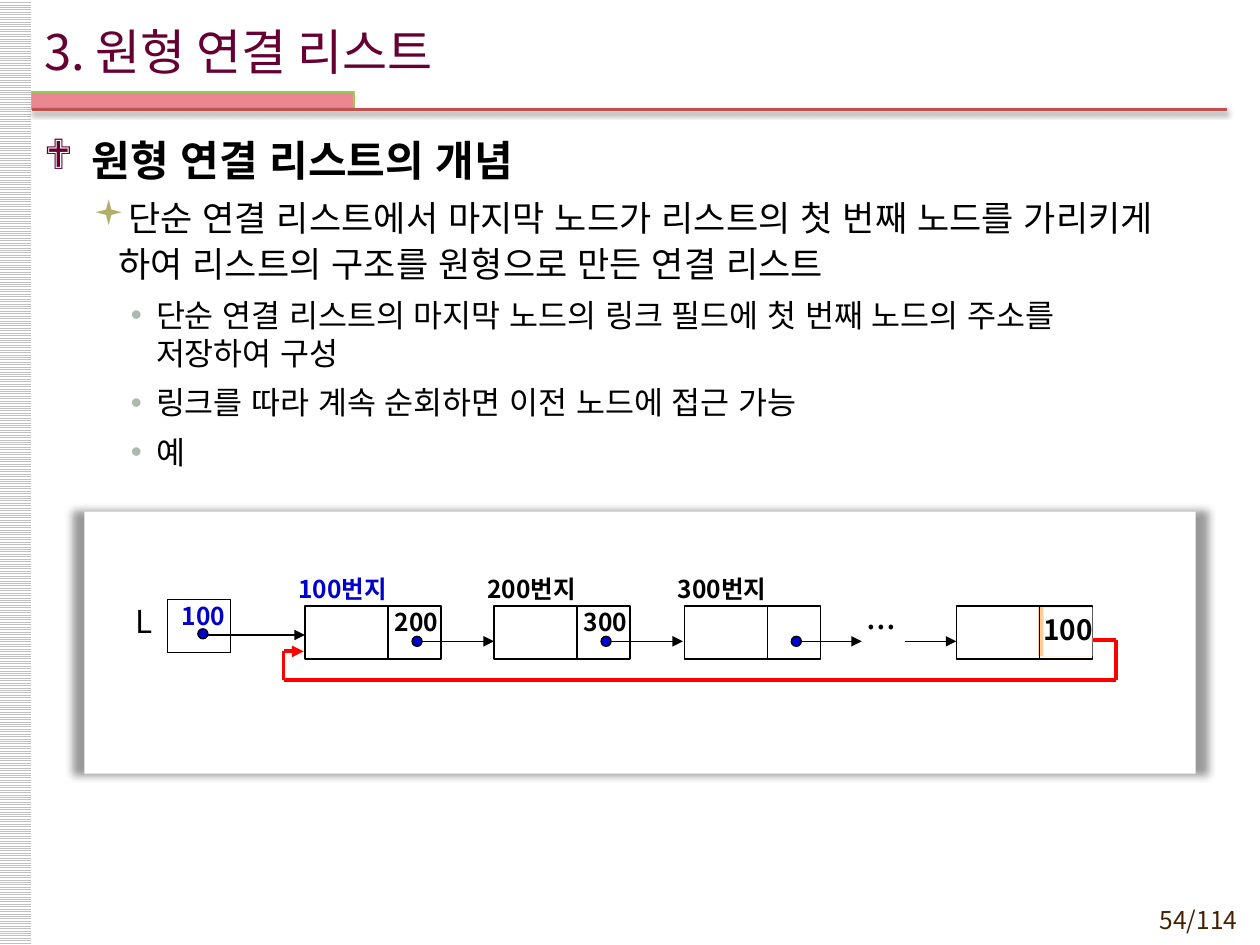
from dataclasses import dataclass
from itertools import pairwise
from typing import Optional

from lxml.etree import SubElement
from pptx import Presentation
from pptx.dml.color import RGBColor
from pptx.enum.dml import MSO_PATTERN
from pptx.enum.shapes import MSO_CONNECTOR, MSO_SHAPE
from pptx.enum.text import MSO_ANCHOR, PP_ALIGN
from pptx.oxml.ns import qn
from pptx.util import Inches, Pt

BLACK = RGBColor(0x00, 0x00, 0x00)
WHITE = RGBColor(0xFF, 0xFF, 0xFF)
BLUE = RGBColor(0x00, 0x00, 0xCC)
RED = RGBColor(0xFF, 0x00, 0x00)
PLUM = RGBColor(0x66, 0x00, 0x33)
BROWN = RGBColor(0x45, 0x21, 0x03)
SILVER = RGBColor(0xC0, 0xC0, 0xC0)
PINK = RGBColor(0xEA, 0x88, 0x92)
GREEN = RGBColor(0x92, 0xD0, 0x50)
BRICK = RGBColor(0xC0, 0x50, 0x4D)
PEACH = RGBColor(0xFF, 0xCC, 0x99)
OLIVE = RGBColor(0xB1, 0xAE, 0x6B)
SAGE = RGBColor(0xAD, 0xB9, 0xAD)

KOREAN = "Noto Sans CJK KR"
NODE_TOP, NODE_WIDTH, NODE_HEIGHT = 4.81, 1.08, 0.42
DIVIDER = 0.66
LINK_Y = 5.09
DOT = 0.08


@dataclass(frozen=True)
class Level:
    bullet: str
    bullet_face: str
    color: RGBColor
    margin: float
    indent: float
    size: int
    bold: bool = False
    line_spacing: float = 1.0
    before: float = 0
    after: float = 0


@dataclass(frozen=True)
class Node:
    left: float
    address: str = ""
    link: str = ""
    color: RGBColor = BLACK
    arrow_end: Optional[float] = None


LEVELS = [
    Level("❖", "Wingdings", PLUM, 0.38, -0.38, 24, bold=True),
    Level("▪", "Wingdings", OLIVE, 0.59, -0.2, 20, line_spacing=1.1, before=4, after=3),
    Level("•", "Arial", SAGE, 0.89, -0.2, 18, before=3.6, after=3),
]
OUTLINE = [
    (0, "원형 연결 리스트의 개념"),
    (1, "단순 연결 리스트에서 마지막 노드가 리스트의 첫 번째 노드를 가리키게 "
        "하여 리스트의 구조를 원형으로 만든 연결 리스트"),
    (2, "단순 연결 리스트의 마지막 노드의 링크 필드에 첫 번째 노드의 주소를\v저장하여 구성"),
    (2, "링크를 따라 계속 순회하면 이전 노드에 접근 가능"),
    (2, "예"),
]
NODES = [
    Node(2.42, "100번지", "200", BLUE, 3.92),
    Node(3.92, "200번지", "300", BLACK, 5.42),
    Node(5.43, "300번지", arrow_end=6.84),
    Node(7.59),
]
RETURN_PATH = [(8.45, 5.08), (8.86, 5.08), (8.86, 5.4),
               (2.25, 5.4), (2.25, 5.17), (2.41, 5.17)]


def style(paragraph, size: int, color: RGBColor, bold=False, face=KOREAN) -> None:
    font = paragraph.font
    font.size, font.bold, font.name = Pt(size), bold, face
    font.color.rgb = color
    SubElement(font._element, qn("a:ea")).set("typeface", face)


def add_effects(shape, blur=0.0, distance=0.0, angle=0, alpha=0, scale=100) -> None:
    effects = SubElement(shape._element.spPr, qn("a:effectLst"))
    if blur:
        shadow = SubElement(effects, qn("a:outerShdw"), blurRad=str(Pt(blur)),
                            dist=str(Pt(distance)), dir=str(angle * 60000),
                            sx=str(scale * 1000), algn="ctr", rotWithShape="0")
        tint = SubElement(shadow, qn("a:srgbClr"), val="000000")
        SubElement(tint, qn("a:alpha"), val=str(alpha * 1000))


def add_box(shapes, left: float, top: float, width: float, height: float,
            fill: Optional[RGBColor] = None, line: Optional[RGBColor] = None,
            kind=MSO_SHAPE.RECTANGLE):
    box = shapes.add_shape(kind, Inches(left), Inches(top), Inches(width), Inches(height))
    box.shadow.inherit = False
    if fill is None:
        box.fill.background()
    else:
        box.fill.solid()
        box.fill.fore_color.rgb = fill
    if line is None:
        box.line.fill.background()
    else:
        box.line.color.rgb = line
        box.line.width = Pt(0.75)
    return box


def add_line(shapes, start: tuple[float, float], end: tuple[float, float],
             color: RGBColor = BLACK, width=0.75, arrow=False):
    line = shapes.add_connector(MSO_CONNECTOR.STRAIGHT,
                                *(Inches(value) for value in (*start, *end)))
    line.line.color.rgb = color
    line.line.width = Pt(width)
    if arrow:
        SubElement(line.line._get_or_add_ln(), qn("a:tailEnd"), type="triangle")
    return line


def add_label(shapes, text: str, left: float, top: float, width: float, height: float,
              size=14, color: RGBColor = BLACK, bold=True, anchor=MSO_ANCHOR.BOTTOM,
              inset=0.1, align=PP_ALIGN.CENTER, wrap=True) -> None:
    frame = shapes.add_textbox(Inches(left), Inches(top),
                               Inches(width), Inches(height)).text_frame
    frame.word_wrap = wrap
    frame.vertical_anchor = anchor
    frame.margin_left = frame.margin_right = Inches(inset)
    paragraph = frame.paragraphs[0]
    paragraph.text = text
    paragraph.alignment = align
    style(paragraph, size, color, bold)


def add_dot(shapes, left: float, top: float) -> None:
    add_box(shapes, left, top, DOT, DOT, BLUE, BLACK, MSO_SHAPE.OVAL)


def add_node(shapes, node: Node) -> None:
    add_box(shapes, node.left, NODE_TOP, NODE_WIDTH, NODE_HEIGHT, line=BLACK)
    divider = node.left + DIVIDER
    add_effects(add_line(shapes, (divider, NODE_TOP), (divider, NODE_TOP + NODE_HEIGHT)))
    if node.address:
        add_label(shapes, node.address, node.left - 0.23, 4.45, 1.06, 0.39, color=node.color)
    if node.link:
        add_label(shapes, node.link, divider, 4.79, 0.45, 0.31, inset=0)
    if node.arrow_end:
        add_effects(add_line(shapes, (node.left + 0.91, LINK_Y),
                             (node.arrow_end, LINK_Y), arrow=True))
        add_dot(shapes, node.left + 0.85, 5.05)


def add_outline(shapes) -> None:
    frame = shapes.add_textbox(Inches(0.25), Inches(1.02),
                               Inches(9.5), Inches(6.25)).text_frame
    frame.word_wrap = True
    frame.margin_right = Inches(0.2)
    for index, (depth, text) in enumerate(OUTLINE):
        level = LEVELS[depth]
        paragraph = frame.add_paragraph() if index else frame.paragraphs[0]
        paragraph.text = text
        paragraph.level = depth
        properties = paragraph._p.get_or_add_pPr()
        properties.set("marL", str(Inches(level.margin)))
        properties.set("indent", str(Inches(level.indent)))
        tint = SubElement(properties, qn("a:buClr"))
        SubElement(tint, qn("a:srgbClr"), val=str(level.color))
        SubElement(properties, qn("a:buFont"), typeface=level.bullet_face)
        SubElement(properties, qn("a:buChar"), char=level.bullet)
        paragraph.line_spacing = level.line_spacing
        paragraph.space_before = Pt(level.before)
        paragraph.space_after = Pt(level.after)
        style(paragraph, level.size, BLACK, level.bold, "Arial")


def add_header(shapes) -> None:
    stripes = add_box(shapes, -0.01, 0, 0.26, 7.5)
    stripes.fill.patterned()
    stripes.fill.pattern = MSO_PATTERN.LIGHT_HORIZONTAL
    stripes.fill.fore_color.rgb = SILVER
    stripes.fill.back_color.rgb = WHITE
    add_box(shapes, 0.25, 0.73, 2.56, 0.14, PINK, GREEN)
    rule = add_line(shapes, (0.25, 0.87), (9.74, 0.87), BRICK, 2)
    add_effects(rule, blur=3.1, distance=1.6, angle=90, alpha=38)
    title = shapes.title
    title.left, title.top = Inches(0.25), Inches(0.09)
    title.width, title.height = Inches(8.27), Inches(0.63)
    title.text_frame.vertical_anchor = MSO_ANCHOR.MIDDLE
    heading = title.text_frame.paragraphs[0]
    heading.text = "3. 원형 연결 리스트"
    heading.alignment = PP_ALIGN.LEFT
    style(heading, 28, PLUM)


def add_circular_list(shapes) -> None:
    panel = add_box(shapes, 0.67, 4.06, 8.82, 2.08, WHITE)
    panel.shadow.inherit = True
    add_effects(panel, blur=5, alpha=40, scale=102)
    add_effects(add_line(shapes, (7.18, LINK_Y), (7.59, LINK_Y), arrow=True))
    add_label(shapes, "...", 6.78, 4.67, 0.75, 0.5, 20, bold=False,
              anchor=MSO_ANCHOR.TOP, align=PP_ALIGN.LEFT)
    add_box(shapes, 8.24, NODE_TOP, 0.43, 0.4, PEACH)
    for node in NODES:
        add_node(shapes, node)
    add_label(shapes, "100", 1.39, 4.74, 0.45, 0.31, color=BLUE, inset=0)
    add_box(shapes, 1.33, 4.76, 0.5, NODE_HEIGHT, line=BLACK)
    add_effects(add_line(shapes, (1.58, 5.04), (2.42, 5.04), arrow=True))
    add_label(shapes, "L", 0.98, 4.73, 0.32, 0.4, 18, bold=False,
              anchor=MSO_ANCHOR.TOP, wrap=False)
    add_dot(shapes, 1.57, 4.99)
    for start, end in pairwise(RETURN_PATH):
        add_effects(add_line(shapes, start, end, RED, 2.25, end == RETURN_PATH[-1]))
    add_box(shapes, 8.28, 4.82, 0.39, 0.39, WHITE)
    add_label(shapes, "100", 8.22, 4.8, 0.51, 0.39, 16, anchor=MSO_ANCHOR.MIDDLE, inset=0)


def main() -> None:
    deck = Presentation()
    deck.slide_width, deck.slide_height = Inches(10), Inches(7.5)
    shapes = deck.slides.add_slide(deck.slide_layouts[5]).shapes
    add_header(shapes)
    add_label(shapes, "54/114", 8.86, 7.13, 1.06, 0.29, color=BROWN, bold=False,
              anchor=MSO_ANCHOR.TOP, align=PP_ALIGN.RIGHT)
    add_outline(shapes)
    add_circular_list(shapes)
    deck.save("out.pptx")


if __name__ == "__main__":
    main()
